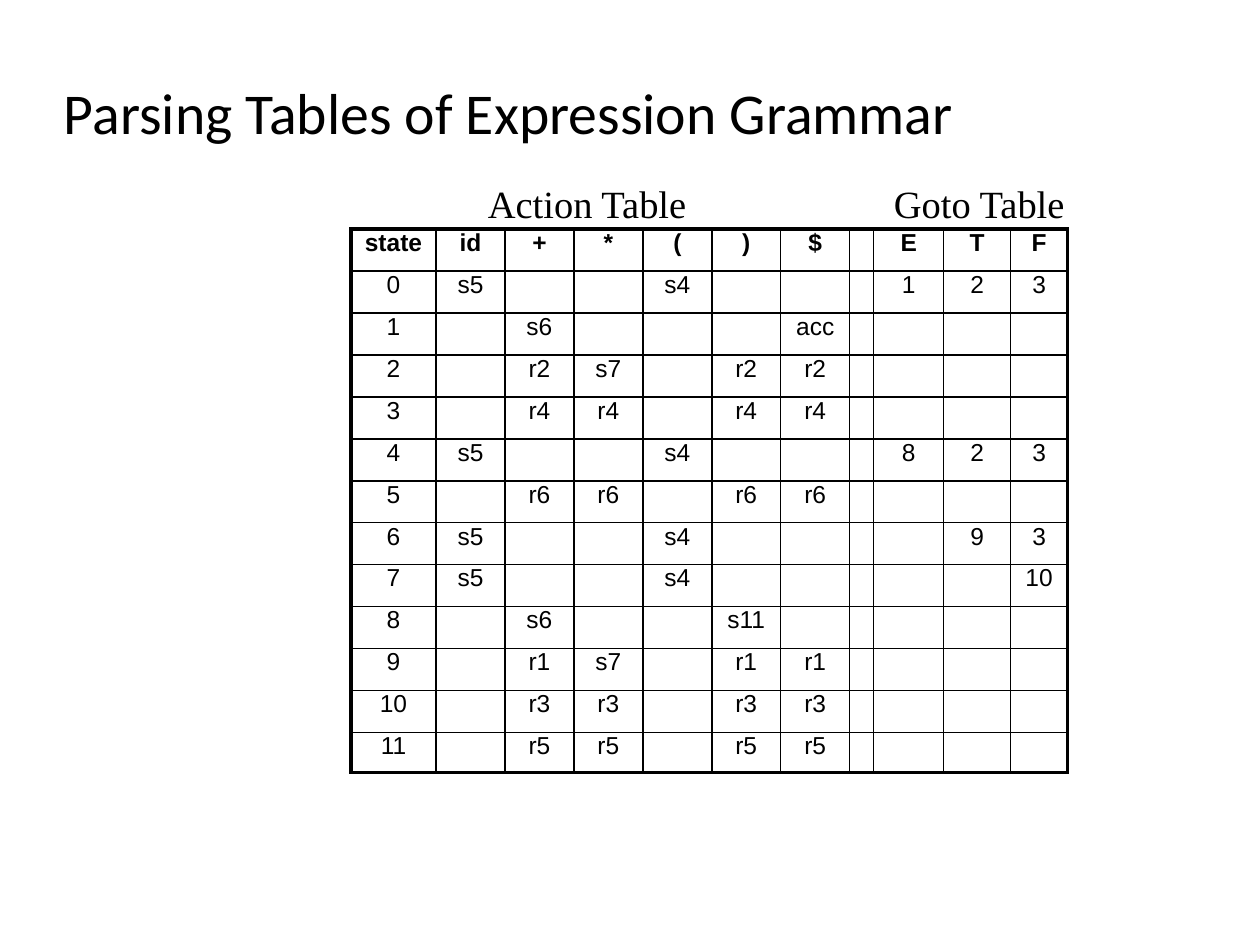
from lxml import etree
from pptx import Presentation
from pptx import util as u
from pptx.dml.color import RGBColor
from pptx.enum import text
from pptx.oxml import ns

PX = 914400 / 126
COLOURS = {"ink": "000000"}
THIN, THICK = 1, 2.25

COLUMN_WIDTHS = [85] + [69] * 6 + [24, 70, 67, 57]
ROW_HEIGHTS = [42] * 12 + [40]
HEADINGS = ["state", "id", "+", "*", "(", ")", "$", "", "E", "T", "F"]
# One entry per state, keyed by column heading
STATES = [
    {"id": "s5", "(": "s4", "E": "1", "T": "2", "F": "3"},
    {"+": "s6", "$": "acc"},
    {"+": "r2", "*": "s7", ")": "r2", "$": "r2"},
    {"+": "r4", "*": "r4", ")": "r4", "$": "r4"},
    {"id": "s5", "(": "s4", "E": "8", "T": "2", "F": "3"},
    {"+": "r6", "*": "r6", ")": "r6", "$": "r6"},
    {"id": "s5", "(": "s4", "T": "9", "F": "3"},
    {"id": "s5", "(": "s4", "F": "10"},
    {"+": "s6", ")": "s11"},
    {"+": "r1", "*": "s7", ")": "r1", "$": "r1"},
    {"+": "r3", "*": "r3", ")": "r3", "$": "r3"},
    {"+": "r5", "*": "r5", ")": "r5", "$": "r5"},
]


def px(length):
    return u.Emu(round(length * PX))


class SlideBuilder:
    """Holds the deck style and the slide being filled."""

    def __init__(self, slide):
        self.slide = slide
        self.ink = RGBColor.from_string(COLOURS["ink"])

    def format_runs(self, para, font, size, bold=False):
        for span in para.runs:
            span.font.name = font
            span.font.size = u.Pt(size)
            span.font.bold = bold
            span.font.color.rgb = self.ink

    def clear_margins(self, holder):
        holder.margin_left = holder.margin_right = 0
        holder.margin_top = holder.margin_bottom = 0

    def title(self, words, left, top, width, height):
        box = self.slide.shapes.title
        box.left, box.top, box.width, box.height = map(px, (left, top, width, height))
        frame = box.text_frame
        frame.text = words
        self.clear_margins(frame)
        frame.margin_top = px(14)
        frame.vertical_anchor = text.MSO_ANCHOR.MIDDLE
        frame.auto_size = text.MSO_AUTO_SIZE.NONE
        para = frame.paragraphs[0]
        para.alignment = text.PP_ALIGN.LEFT
        para.line_spacing = 0.9
        self.format_runs(para, "Calibri", 33)

    def caption(self, words, left, top, width, height):
        box = self.slide.shapes.add_textbox(*map(px, (left, top, width, height)))
        frame = box.text_frame
        frame.word_wrap = True
        frame.text = words
        self.clear_margins(frame)
        self.format_runs(frame.paragraphs[0], "Times New Roman", 22)

    def borders(self, cell, widths):
        """Draw the left, right, top and bottom borders, widths in points."""
        properties = cell._tc.get_or_add_tcPr()
        for index, (side, width) in enumerate(zip("LRTB", widths)):
            line = etree.Element(ns.qn(f"a:ln{side}"), w=str(u.Pt(width)))
            fill = etree.SubElement(line, ns.qn("a:solidFill"))
            etree.SubElement(fill, ns.qn("a:srgbClr"), val=COLOURS["ink"])
            properties.insert(index, line)

    def table(self, rows, left, top, widths, heights):
        frame = self.slide.shapes.add_table(
            len(rows), len(widths), px(left), px(top), px(sum(widths)), px(sum(heights)))
        table = frame.table
        table.first_row = table.horz_banding = False
        for column, width in zip(table.columns, widths):
            column.width = px(width)
        for row, height in zip(table.rows, heights):
            row.height = px(height)
        last_row, last_column = len(rows) - 1, len(widths) - 1
        for r, row in enumerate(rows):
            for c, words in enumerate(row):
                cell = table.cell(r, c)
                cell.fill.background()
                self.clear_margins(cell)
                if words:
                    cell.text = words
                    para = cell.text_frame.paragraphs[0]
                    para.alignment = text.PP_ALIGN.CENTER
                    self.format_runs(para, "Arial", 14, bold=r == 0)
                outer = (c == 0, c == last_column, r == 0, r == last_row)
                self.borders(cell, [THICK if edge else THIN for edge in outer])


def main():
    deck = Presentation()
    deck.slide_width, deck.slide_height = u.Inches(10), u.Inches(7.5)
    builder = SlideBuilder(deck.slides.add_slide(deck.slide_layouts[5]))
    builder.title("Parsing Tables of Expression Grammar", 64, 38, 1029, 141)
    rows = [HEADINGS]
    for number, entries in enumerate(STATES):
        rows.append([str(number)] + [entries.get(name, "") for name in HEADINGS[1:]])
    builder.table(rows, 351, 229, COLUMN_WIDTHS, ROW_HEIGHTS)
    builder.caption("Action Table", 488, 180, 203, 47)
    builder.caption("Goto Table", 894, 180, 176, 47)
    deck.save("out.pptx")


if __name__ == "__main__":
    main()
